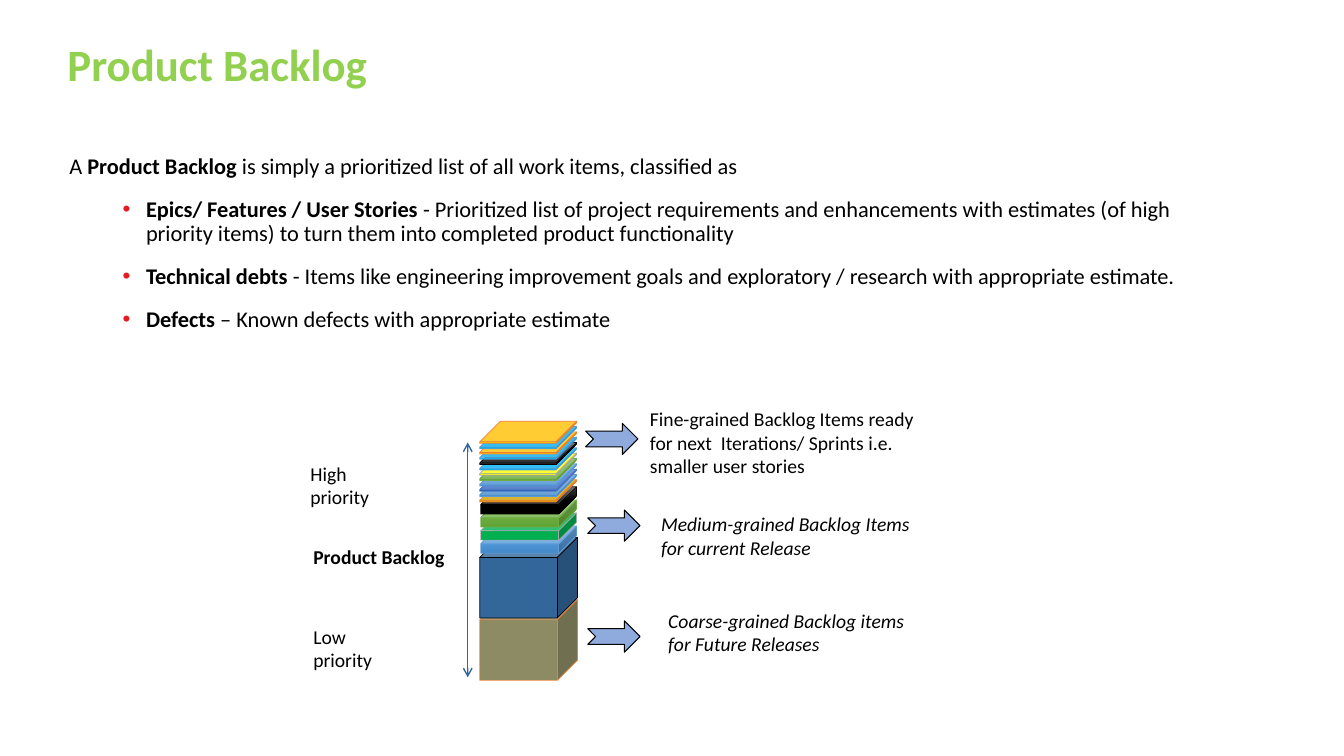
from copy import deepcopy

from lxml import etree
from pptx import Presentation
from pptx.dml.color import RGBColor
from pptx.enum import shapes, text
from pptx.oxml import ns
from pptx.util import Pt

BLACK = RGBColor(0x00, 0x00, 0x00)
TITLE_GREEN = RGBColor(0x92, 0xD0, 0x50)
BULLET_RED = RGBColor(0xE3, 0x1B, 0x23)
STEEL = RGBColor(0x33, 0x66, 0x99)
KHAKI = RGBColor(0x8C, 0x8B, 0x63)
ARROW_BLUE = RGBColor(0x8F, 0xAA, 0xDC)
ORANGE = RGBColor(0xED, 0x7D, 0x31)
GREY = RGBColor(0xA5, 0xA5, 0xA5)
BLUE = RGBColor(0x5B, 0x9B, 0xD5)
INDIGO = RGBColor(0x44, 0x72, 0xC4)
GREEN = RGBColor(0x70, 0xAD, 0x47)
EMERALD = RGBColor(0x00, 0xB0, 0x50)
DARK_GOLD = RGBColor(0xD2, 0xA0, 0x00)
GOLD = RGBColor(0xFF, 0xC0, 0x00)
YELLOW = RGBColor(0xFF, 0xFF, 0x00)
SKY = RGBColor(0x00, 0xB0, 0xF0)

# Three-stop vertical gradients, top to bottom
BLUE_FADE = [RGBColor(0x71, 0xA6, 0xDB), RGBColor(0x55, 0x9B, 0xDB), RGBColor(0x44, 0x8A, 0xCA)]
INDIGO_FADE = [RGBColor(0x61, 0x83, 0xCB), RGBColor(0x3E, 0x70, 0xCA), RGBColor(0x30, 0x62, 0xBB)]
GREEN_FADE = [RGBColor(0x81, 0xB8, 0x61), RGBColor(0x6F, 0xB2, 0x42), RGBColor(0x62, 0xA3, 0x36)]
BLACK_FADE = [RGBColor(0x4B, 0x4B, 0x4B), BLACK, BLACK]

prs = Presentation()
prs.slide_width, prs.slide_height = Pt(960), Pt(540)
slide = prs.slides.add_slide(prs.slide_layouts[6])


def add_text(left, top, width, height, margins=(7.2, 3.6)):
    frame = slide.shapes.add_textbox(Pt(left), Pt(top), Pt(width), Pt(height)).text_frame
    frame.word_wrap = True
    frame.margin_left = frame.margin_right = Pt(margins[0])
    frame.margin_top = frame.margin_bottom = Pt(margins[1])
    return frame


def add_solid(kind, left, top, width, height, fill, edge, edge_width):
    solid = slide.shapes.add_shape(kind, Pt(left), Pt(top), Pt(width), Pt(height))
    solid.shadow.inherit = False
    solid.line.color.rgb = edge
    solid.line.width = Pt(edge_width)
    if isinstance(fill, RGBColor):
        solid.fill.solid()
        solid.fill.fore_color.rgb = fill
    else:
        solid.fill.gradient()
        solid.fill.gradient_angle = 270
        stops = solid._element.spPr.find(ns.qn("a:gradFill")).find(ns.qn("a:gsLst"))
        stops.append(deepcopy(stops[-1]))
        for stop, colour, position in zip(solid.fill.gradient_stops, fill, (0, 0.5, 1)):
            stop.color.rgb = colour
            stop.position = position
    return solid


# Title
title = add_text(44.6, 24.5, 897, 49, (3.6, 3.6))
title.vertical_anchor = text.MSO_ANCHOR.MIDDLE
heading = title.paragraphs[0]
heading.text = "Product Backlog"
heading.line_spacing = 0.8
heading.font.name, heading.font.size, heading.font.bold = "Calibri", Pt(32), True
heading.font.color.rgb = TITLE_GREEN

# Definition and its bulleted classes: plain lead, bold term, plain rest
definition = [
    ("A ", "Product Backlog ", "is simply a prioritized list of all work items, classified as"),
    ("", "Epics/ Features / User Stories ",
     "- Prioritized list of project requirements and enhancements with estimates "
     "(of high priority items) to turn them into completed product functionality"),
    ("", "Technical debts ",
     "- Items like engineering improvement goals and exploratory / research "
     "with appropriate estimate."),
    ("", "Defects ", "– Known defects with appropriate estimate"),
]
body = add_text(44.6, 108, 827.3, 166.3, (5, 2.9))
for index, (lead, term, rest) in enumerate(definition):
    item = body.add_paragraph() if index else body.paragraphs[0]
    item.line_spacing = 0.9
    item.space_after = Pt(3.4)
    if index:
        item.space_before = Pt(10)
        item.level = 1
        props = item._p.get_or_add_pPr()
        props.set("marL", str(Pt(54.7)))
        props.set("indent", str(Pt(-16.6)))
        bullet_colour = etree.SubElement(props, ns.qn("a:buClr"))
        etree.SubElement(bullet_colour, ns.qn("a:srgbClr"), val=str(BULLET_RED))
        etree.SubElement(props, ns.qn("a:buFont"), typeface="Arial")
        etree.SubElement(props, ns.qn("a:buChar"), char="•")
    item.font.name, item.font.size = "Calibri", Pt(16)
    item.font.color.rgb = BLACK
    for words, bold in ((lead, False), (term, True), (rest, False)):
        if words:
            run = item.add_run()
            run.text = words
            run.font.bold = bold

# Backlog stack, bottom to top: coarse blocks, medium slabs, fine sheets
coarse = [(KHAKI, ORANGE), (STEEL, BLACK)]
medium = [(BLUE_FADE, BLUE), (EMERALD, GREY), (GREEN_FADE, GREEN), (BLACK_FADE, BLACK)]
fine = [(DARK_GOLD, ORANGE), (BLUE_FADE, BLUE), (INDIGO_FADE, INDIGO), (BLUE_FADE, BLUE),
        (GREEN_FADE, GREEN), (YELLOW, GREY), (SKY, BLUE), (BLACK_FADE, BLACK),
        (SKY, BLUE), (GOLD, ORANGE), (SKY, BLUE), (GOLD, ORANGE)]
tiers = [  # layers, left, lowest top, rise, width, height, depth ratio
    (coarse, 342.7, 428.4, 44.6, 69.8, 57.6, 0.25),
    (medium, 343.4, 375.8, 9.36, 68.4, 19.4, 0.654),
    (fine, 342.7, 342.7, 3.8, 69.1, 15.8, 0.929),
]
for layers, left, lowest, rise, width, height, depth in tiers:
    for step, (fill, edge) in enumerate(layers):
        layer = add_solid(shapes.MSO_SHAPE.CUBE, left, lowest - step * rise,
                          width, height, fill, edge, 0.5)
        layer.adjustments[0] = depth

# Priority axis, with an arrowhead at each end
axis = slide.shapes.add_connector(shapes.MSO_CONNECTOR.STRAIGHT,
                                  Pt(334.1), Pt(316.1), Pt(334.1), Pt(483.8))
axis.line.color.rgb = STEEL
axis.line.width = Pt(1)
for end in ("a:headEnd", "a:tailEnd"):
    etree.SubElement(axis.line._get_or_add_ln(), ns.qn(end), type="arrow")
etree.SubElement(axis._element.spPr, ns.qn("a:effectLst"))

# Arrows from the stack to its notes
for left, top in ((419.8, 443.5), (419.8, 364.3), (418.3, 302.4)):
    add_solid(shapes.MSO_SHAPE.NOTCHED_RIGHT_ARROW, left, top, 37.4, 22.3,
              ARROW_BLUE, BLACK, 0.75)

# Labels on the axis and notes beside the arrows
labels = [  # words, left, top, width, height, bold, italic
    ("High priority", 214.6, 326.2, 85, 41, False, False),
    ("Product Backlog", 216.7, 385.9, 114.5, 24.5, True, False),
    ("Low priority", 216.7, 442.8, 62.6, 41, False, False),
    ("Fine-grained Backlog Items ready for next  Iterations/ Sprints i.e. smaller user stories",
     457.2, 287.3, 220.3, 58.3, False, False),
    ("Medium-grained Backlog Items for current Release", 465.1, 362.2, 192.2, 41, False, True),
    ("Coarse-grained Backlog items for Future Releases", 470.2, 431.3, 187.9, 41, False, True),
]
for words, left, top, width, height, bold, italic in labels:
    label = add_text(left, top, width, height).paragraphs[0]
    label.text = words
    label.font.name, label.font.size = "Calibri", Pt(14)
    label.font.bold, label.font.italic = bold, italic
    label.font.color.rgb = BLACK

prs.save("out.pptx")
